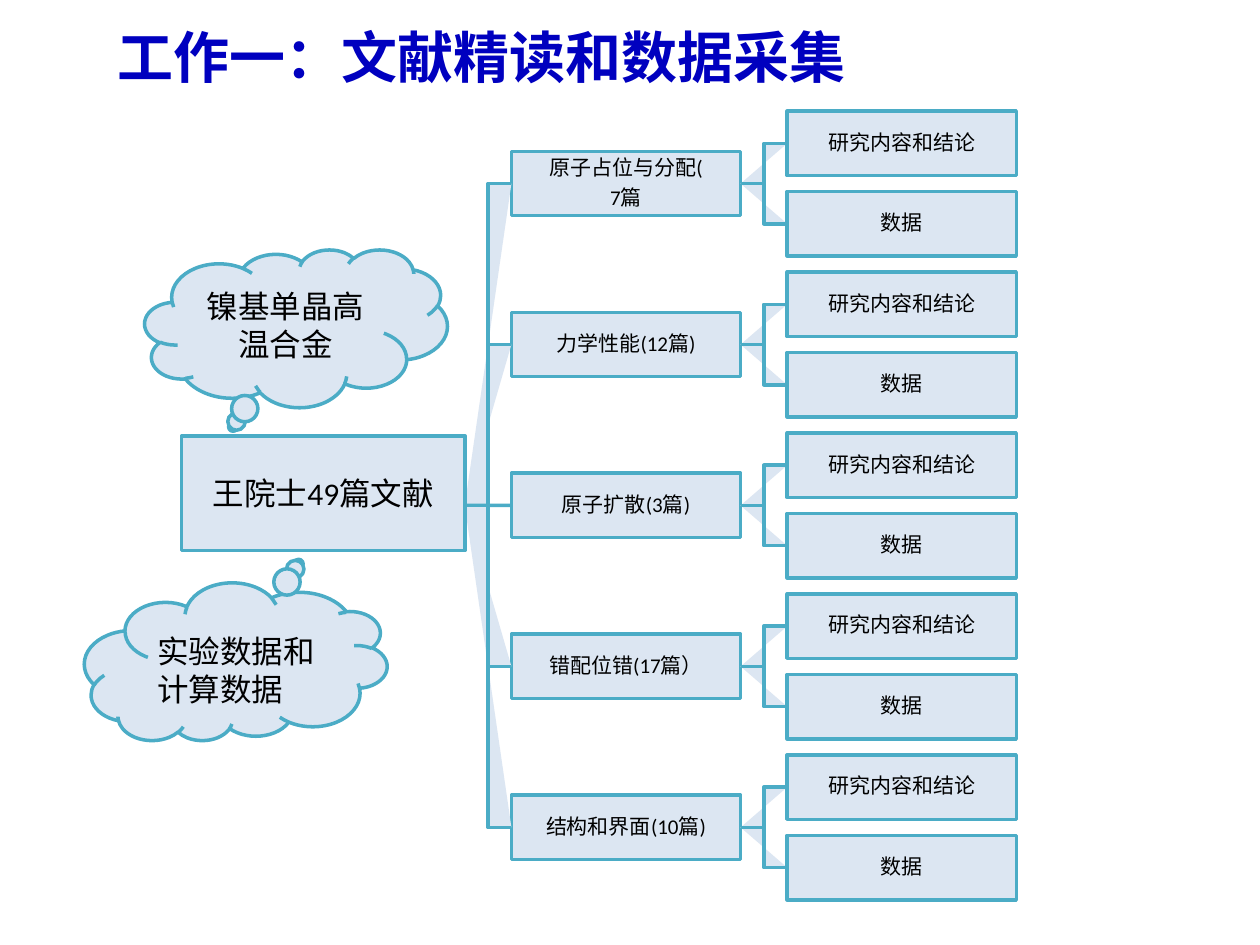
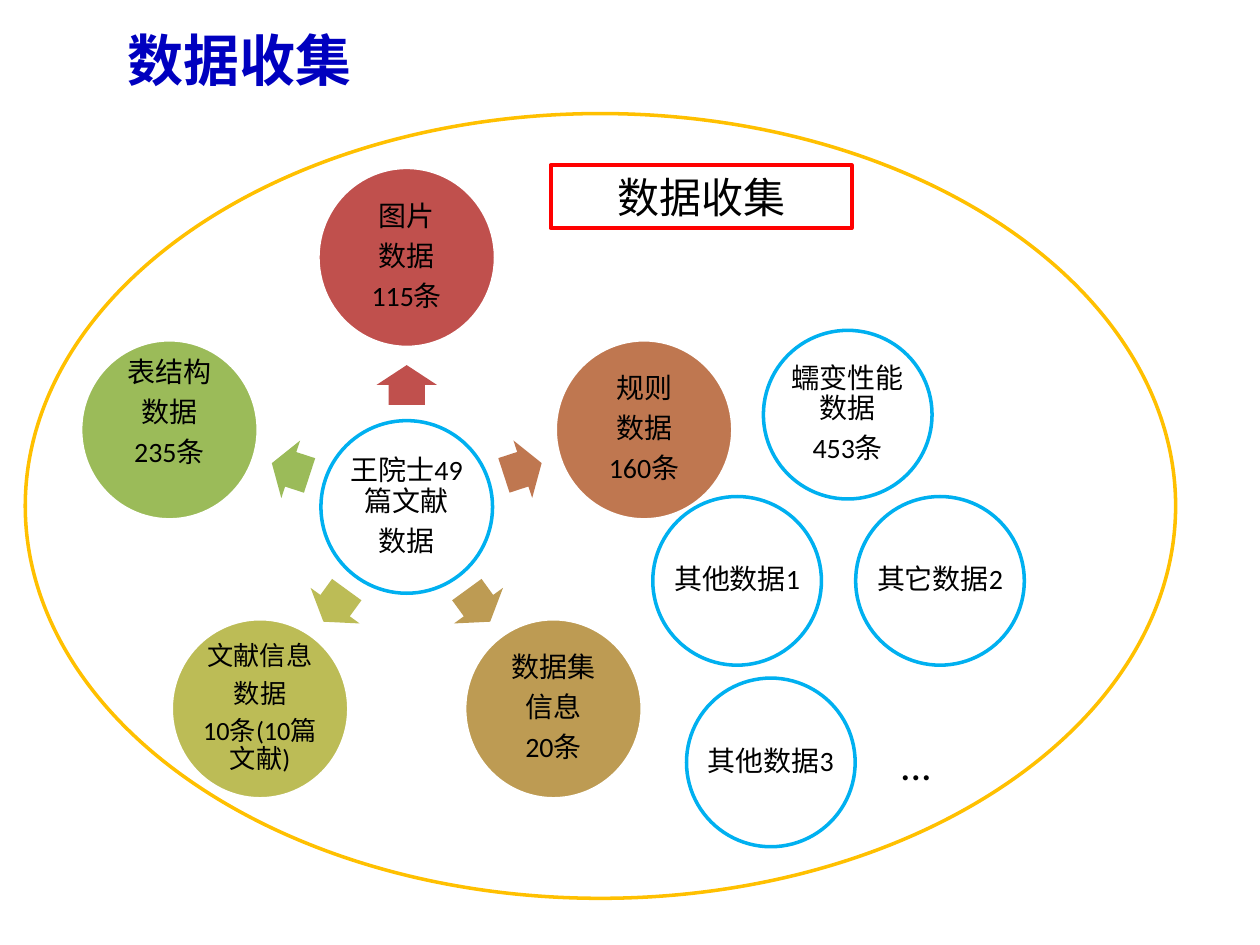
import math
from dataclasses import dataclass

import pptx
import pptx.dml.color
import pptx.enum.shapes
import pptx.enum.text
import pptx.oxml
import pptx.oxml.ns
import pptx.util

Cm = pptx.util.Cm
Pt = pptx.util.Pt
SHAPE = pptx.enum.shapes.MSO_SHAPE
ALIGN = pptx.enum.text.PP_ALIGN
ANCHOR = pptx.enum.text.MSO_ANCHOR


@dataclass(frozen=True)
class Theme:
    """Colours, fonts and type sizes shared by both slides."""
    title: str = "0000BF"
    ink: str = "000000"
    pale: str = "DCE6F2"
    teal: str = "4BACC6"
    sky: str = "00B0F0"
    gold: str = "FFC000"
    red: str = "FF0000"
    white: str = "FFFFFF"
    spokes: tuple = ("C0504D", "BF7750", "BD9B53", "BCBC56", "9BBB59")
    latin: str = "Calibri"
    east_asian: str = "Noto Sans CJK SC"
    title_size: float = 32
    label_size: float = 24
    source_size: float = 18
    circle_size: float = 16
    long_size: float = 15
    tree_size: float = 12
    line: float = 2
    label_line: float = 2.25


@dataclass(frozen=True)
class Box:
    """A rectangle in centimetres."""
    left: float
    top: float
    width: float
    height: float

    def inner(self, left, top, width, height):
        """Return a box placed relative to this one."""
        return Box(self.left + left, self.top + top, width, height)

    def around(self, x, y, width, height):
        """Return a box centred on a point relative to this one."""
        return self.inner(x - width / 2, y - height / 2, width, height)

    def lengths(self):
        """Return the four lengths for python-pptx."""
        return [Cm(n) for n in (self.left, self.top, self.width, self.height)]


THEME = Theme()
TITLE_SIZE = (22.86, 2.21)
NODE_W, NODE_H, NODE_GAP = 4.62, 1.3, 0.94


def rgb(value):
    """Turn a hex string into a colour."""
    return pptx.dml.color.RGBColor.from_string(value)


def write(frame, paragraphs, size, align=ALIGN.CENTER, inset=None,
          color=THEME.ink, latin=THEME.latin, bold=None):
    """Fill a text frame; a given inset also selects the compact spacing."""
    if inset is not None:
        frame.margin_left = frame.margin_right = Cm(inset)
        frame.margin_top = frame.margin_bottom = Cm(inset)
    for index, words in enumerate(paragraphs):
        paragraph = frame.add_paragraph() if index else frame.paragraphs[0]
        paragraph.alignment = align
        if inset is not None:
            paragraph.line_spacing = 0.9
            paragraph.space_after = Pt(round(size * 0.35, 1))
        run = paragraph.add_run()
        run.text = words
        run.font.size = Pt(size)
        run.font.bold = bold
        run.font.color.rgb = rgb(color)
        run.font.name = latin
        east_asian = pptx.oxml.parse_xml(
            f'<a:ea {pptx.oxml.ns.nsdecls("a")} typeface="{THEME.east_asian}"/>')
        run.font.fill._xPr.append(east_asian)


def paint(shape, fill=None, line=None, width=THEME.line):
    """Set fill and outline, and drop the shadow."""
    shape.shadow.inherit = False
    if fill:
        shape.fill.solid()
        shape.fill.fore_color.rgb = rgb(fill)
    else:
        shape.fill.background()
    if line:
        shape.line.color.rgb = rgb(line)
        shape.line.width = Pt(width)
    else:
        shape.line.fill.background()


def add_figure(slide, kind, box, fill=None, line=None, width=THEME.line):
    """Add a painted preset shape."""
    shape = slide.shapes.add_shape(kind, *box.lengths())
    paint(shape, fill, line, width)
    shape.text_frame.word_wrap = True
    return shape


def add_note(slide, box, words, size, align):
    """Add a wrapping text box."""
    frame = slide.shapes.add_textbox(*box.lengths()).text_frame
    frame.word_wrap = True
    write(frame, [words], size, align)


def add_titled_slide(deck, words, left, top):
    """Add a title-only slide and format its title."""
    slide = deck.slides.add_slide(deck.slide_layouts[5])
    title = slide.shapes.title
    title.left, title.top, title.width, title.height = Box(
        left, top, *TITLE_SIZE).lengths()
    title.text_frame.vertical_anchor = ANCHOR.MIDDLE
    write(title.text_frame, [words], THEME.title_size, ALIGN.LEFT,
          color=THEME.title, latin=THEME.east_asian, bold=True)
    return slide


def add_node(slide, box, paragraphs):
    """Add one box of the literature tree."""
    node = add_figure(slide, SHAPE.RECTANGLE, box, THEME.pale, THEME.teal)
    write(node.text_frame, paragraphs, THEME.tree_size, inset=0.03)
    return node


def add_elbow(slide, x, start_y, end_y):
    """Add a filled elbow across the gap that starts at x."""
    bend = x + NODE_GAP / 2
    elbow = slide.shapes.build_freeform(Cm(x), Cm(start_y), scale=1.0)
    corners = [(bend, start_y), (bend, end_y), (x + NODE_GAP, end_y)]
    elbow.add_line_segments([(Cm(a), Cm(b)) for a, b in corners], close=False)
    paint(elbow.convert_to_shape(), THEME.pale, THEME.teal)


def add_straight_link(slide, x, y, topic):
    """Add the level line that ends at the middle topic."""
    link = slide.shapes.add_connector(
        pptx.enum.shapes.MSO_CONNECTOR.STRAIGHT,
        Cm(x), Cm(y), Cm(x + NODE_GAP), Cm(y))
    link.end_connect(topic, 1)
    link.line.color.rgb = rgb(THEME.teal)
    link.line.width = Pt(THEME.line)
    link._element.spPr.append(pptx.oxml.parse_xml(
        f'<a:effectLst {pptx.oxml.ns.nsdecls("a")}/>'))


def draw_tree(slide, box, topics, findings):
    """Draw the topics, each with its findings, and their links."""
    leaf_count = len(topics) * len(findings)
    pitch = (box.height - NODE_H) / (leaf_count - 1)
    root_y = box.top + box.height / 2
    for row, topic in enumerate(topics):
        first = row * len(findings)
        offset = (first + (len(findings) - 1) / 2) * pitch
        topic_y = box.top + offset + NODE_H / 2
        node = add_node(slide, box.inner(0, offset, NODE_W, NODE_H), topic)
        if row == len(topics) // 2:
            add_straight_link(slide, box.left - NODE_GAP, root_y, node)
        else:
            add_elbow(slide, box.left - NODE_GAP, root_y, topic_y)
        for index, finding in enumerate(findings, first):
            leaf = box.inner(NODE_W + NODE_GAP, index * pitch, NODE_W, NODE_H)
            add_elbow(slide, box.left + NODE_W, topic_y, leaf.top + NODE_H / 2)
            add_node(slide, leaf, [finding])


def draw_sources(slide, box):
    """Draw the root of the tree with its two thought clouds."""
    cloud_size = (6.1, 3.18)
    root = add_figure(slide, SHAPE.RECTANGLE, box.inner(1.96, 3.76, 5.72, 2.31),
                      THEME.pale, THEME.teal)
    write(root.text_frame, ["王院士49篇文献"], THEME.source_size)
    alloy = add_figure(slide, SHAPE.CLOUD_CALLOUT, box.inner(1.22, 0, *cloud_size),
                       THEME.pale, THEME.teal)
    write(alloy.text_frame, ["镍基单晶高温合金"], THEME.source_size)
    data = add_figure(slide, SHAPE.CLOUD_CALLOUT, box.inner(0, 6.73, *cloud_size),
                      THEME.pale, THEME.teal)
    data.rotation = 180
    add_note(slide, box.inner(1.22, 7.59, 4.19, 1.8), "实验数据和计算数据",
             THEME.source_size, ALIGN.LEFT)


def add_circle(slide, box, paragraphs, fill, line, size=THEME.circle_size):
    """Add a circle with compact text and return its text frame."""
    frame = add_figure(slide, SHAPE.OVAL, box, fill, line).text_frame
    write(frame, paragraphs, size, inset=0.05)
    return frame


def draw_wheel(slide, box, hub_x, hub_y):
    """Draw the hub, its arrows and the five kinds of data around it."""
    kinds = [
        (["图片", "数据", "115条"], THEME.circle_size, 0.05),
        (["规则", "数据", "160条"], THEME.circle_size, 0.05),
        (["数据集", "信息", "20条"], THEME.circle_size, 0.05),
        (["文献信息", "数据", "10条(10篇文献)"], THEME.long_size, 0.05),
        (["表结构", "数据", "235条"], THEME.circle_size, 0.7),
    ]
    add_circle(slide, box.around(hub_x, hub_y, 3.46, 3.48),
               ["王院士49篇文献", "数据"], None, THEME.sky)
    for index, (kind, color) in enumerate(zip(kinds, THEME.spokes)):
        paragraphs, size, bottom = kind
        degrees = index * 360 / len(kinds) - 90
        dx, dy = math.cos(math.radians(degrees)), math.sin(math.radians(degrees))
        arrow = add_figure(
            slide, SHAPE.RIGHT_ARROW,
            box.around(hub_x + 2.46 * dx, hub_y + 2.46 * dy, 0.8, 1.22), color)
        arrow.adjustments[0] = 0.6
        arrow.adjustments[1] = 0.5
        arrow.rotation = degrees % 360
        frame = add_circle(
            slide, box.around(hub_x + 5.03 * dx, hub_y + 5.03 * dy, 3.58, 3.63),
            paragraphs, color, THEME.white, size)
        frame.margin_bottom = Cm(bottom)


def draw_collection(slide, box):
    """Draw the large oval with the wheel and the further data."""
    others = [
        (18.44, 9.42, ["其它数据2"]),
        (14.35, 9.42, ["其他数据1"]),
        (16.58, 6.07, ["蠕变性能数据", "453条"]),
        (15.03, 13.08, ["其他数据3"]),
    ]
    draw_wheel(slide, box, 7.69, 7.93)
    add_figure(slide, SHAPE.OVAL, box, None, THEME.gold)
    for x, y, paragraphs in others:
        frame = add_circle(slide, box.around(x, y, 3.4, 3.4), paragraphs,
                           None, THEME.sky)
        frame.word_wrap = len(paragraphs) > 1
    label = add_figure(slide, SHAPE.RECTANGLE, box.inner(10.59, 1.04, 6.07, 1.27),
                       None, THEME.red, THEME.label_line)
    write(label.text_frame, ["数据收集"], THEME.label_size)
    add_note(slide, box.inner(16.66, 12.47, 2.59, 1.27), "...",
             THEME.label_size, ALIGN.CENTER)


def main():
    """Build both slides and save the deck."""
    deck = pptx.Presentation()
    deck.slide_width, deck.slide_height = Cm(25.4), Cm(19.05)

    reading = add_titled_slide(deck, "工作一：文献精读和数据采集", 2.11, 0.03)
    topics = [["原子占位与分配(", "7篇"], ["力学性能(12篇)"], ["原子扩散(3篇)"],
              ["错配位错(17篇）"], ["结构和界面(10篇)"]]
    draw_tree(reading, Box(10.31, 2.24, 10.18, 15.9), topics,
              ["研究内容和结论", "数据"])
    draw_sources(reading, Box(1.7, 5.03, 7.68, 9.91))

    collection = add_titled_slide(deck, "数据收集", 2.31, 0.08)
    draw_collection(collection, Box(0.51, 2.29, 23.19, 15.82))

    deck.save("out.pptx")


if __name__ == "__main__":
    main()
